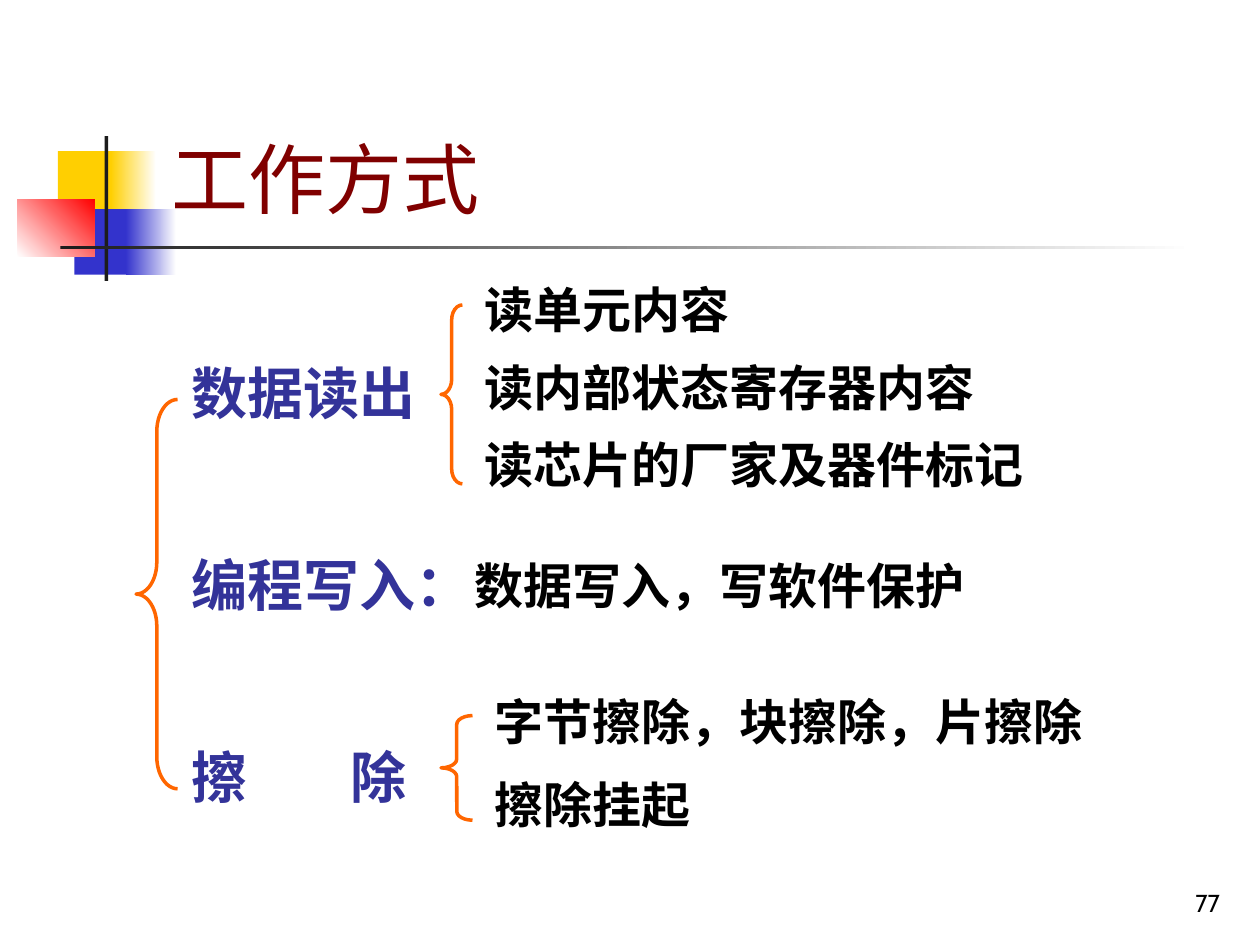
from lxml import etree
from pptx import Presentation
from pptx.dml.color import RGBColor
from pptx.enum.shapes import MSO_SHAPE as Preset
from pptx.enum.text import MSO_ANCHOR as Anchor, MSO_AUTO_SIZE as AutoSize, PP_ALIGN as Align
from pptx.oxml.ns import qn
from pptx.util import Inches, Pt

BLACK, NAVY, MAROON, ORANGE = "000000", "333399", "800000", "FF6600"
YELLOW, BLUE, RED, CHARCOAL, WHITE = "FFCF01", "3333CC", "FF0000", "1C1C1C", "FFFFFF"
SERIF, SANS = "Times New Roman", "Cabin"


def color(value):
    return RGBColor.from_string(value)


def add_block(slide, box, colors, angle=0):
    """Add a borderless rectangle; two colours make a gradient."""
    shape = slide.shapes.add_shape(Preset.RECTANGLE, *map(Inches, box))
    shape.shadow.inherit = False
    shape.line.fill.background()
    if len(colors) == 1:
        shape.fill.solid()
        shape.fill.fore_color.rgb = color(colors[0])
    else:
        shape.fill.gradient()
        shape.fill.gradient_angle = angle
        for stop, value in zip(shape.fill.gradient_stops, colors):
            stop.color.rgb = color(value)


def add_decoration(slide, left, top):
    blocks = [
        (0.32, 0.12, 0.48, 0.52, [YELLOW], 0),
        (0.74, 0.12, 0.36, 0.52, [YELLOW, WHITE], 0),
        (0.45, 0.58, 0.46, 0.52, [BLUE], 0),
        (0.86, 0.58, 0.40, 0.52, [BLUE, WHITE], 0),
        (0, 0.5, 0.61, 0.46, [WHITE, RED], 45),
        (0.69, 0, 0.03, 1.15, [CHARCOAL], 0),
        (0.34, 0.87, 9, 0.03, [CHARCOAL, WHITE], 0),
    ]
    for x, y, width, height, colors, angle in blocks:
        add_block(slide, (left + x, top + y, width, height), colors, angle)


def format_font(font, name, size, value, bold=False):
    font.name, font.size, font.bold = name, Pt(size), bold
    font.color.rgb = color(value)


def add_title(slide, box, text):
    title = slide.shapes.title
    title.left, title.top, title.width, title.height = map(Inches, box)
    frame = title.text_frame
    frame.text = text
    frame.auto_size = AutoSize.NONE
    frame.vertical_anchor = Anchor.BOTTOM
    paragraph = frame.paragraphs[0]
    paragraph.alignment = Align.LEFT
    format_font(paragraph.runs[0].font, SANS, 44, MAROON)


def add_page_number(slide, box, text):
    frame = slide.shapes.add_textbox(*map(Inches, box)).text_frame
    frame.word_wrap = True
    frame.text = text
    frame.vertical_anchor = Anchor.BOTTOM
    paragraph = frame.paragraphs[0]
    paragraph.alignment = Align.RIGHT
    format_font(paragraph.runs[0].font, SANS, 14, BLACK)


def add_tab_stop(paragraph, position):
    tabs = etree.SubElement(paragraph._p.get_or_add_pPr(), qn("a:tabLst"))
    etree.SubElement(tabs, qn("a:tab"), pos=str(Inches(position)), algn="l")


def add_lines(slide, box, lines, size=28, value=BLACK, spacing=1.0, gap=17.5):
    frame = slide.shapes.add_textbox(*map(Inches, box)).text_frame
    frame.word_wrap = True
    frame.text = "\n".join(lines)
    for index, paragraph in enumerate(frame.paragraphs):
        paragraph.line_spacing = spacing
        paragraph.space_before = Pt(gap if index else 0)
        if "\t" in lines[index]:
            add_tab_stop(paragraph, 1.26)
        for run in paragraph.runs:
            format_font(run.font, SERIF, size, value, bold=True)


def add_brace(slide, box, curve):
    brace = slide.shapes.add_shape(Preset.LEFT_BRACE, *map(Inches, box))
    brace.shadow.inherit = False
    brace.adjustments[0] = curve
    brace.fill.background()
    brace.line.color.rgb = color(ORANGE)
    brace.line.width = Pt(2)


def add_modes(slide, left, top):
    """Add the bracketed tree of modes and their details."""
    add_lines(slide, (left + 0.34, top + 0.6, 2.5, 3.62),
              ["数据读出", "编程写入：", "擦\t除"], 32, NAVY, 0.9, 75)
    add_lines(slide, (left + 2.67, top, 5.17, 1.71),
              ["读单元内容", "读内部状态寄存器内容", "读芯片的厂家及器件标记"], spacing=0.8)
    add_lines(slide, (left + 2.59, top + 2.1, 4.67, 0.57), ["数据写入，写软件保护"])
    add_lines(slide, (left + 2.75, top + 3.23, 5.17, 1.19),
              ["字节擦除，块擦除，片擦除", "擦除挂起"], spacing=0.9)
    add_brace(slide, (left + 2.42, top + 0.16, 0.17, 1.42), 0.7)
    add_brace(slide, (left + 2.42, top + 3.42, 0.25, 0.83), 0.28)
    add_brace(slide, (left, top + 0.91, 0.33, 3.09), 0.77)


def main():
    presentation = Presentation()
    presentation.slide_width, presentation.slide_height = Inches(10), Inches(7.5)
    slide = presentation.slides.add_slide(presentation.slide_layouts[5])
    add_decoration(slide, 0.14, 1.08)
    add_title(slide, (1.26, 0.23, 8.52, 1.6), "工作方式")
    add_modes(slide, 1.08, 2.26)
    add_page_number(slide, (7.7, 6.83, 2.08, 0.5), "77")
    presentation.save("out.pptx")


if __name__ == "__main__":
    main()
